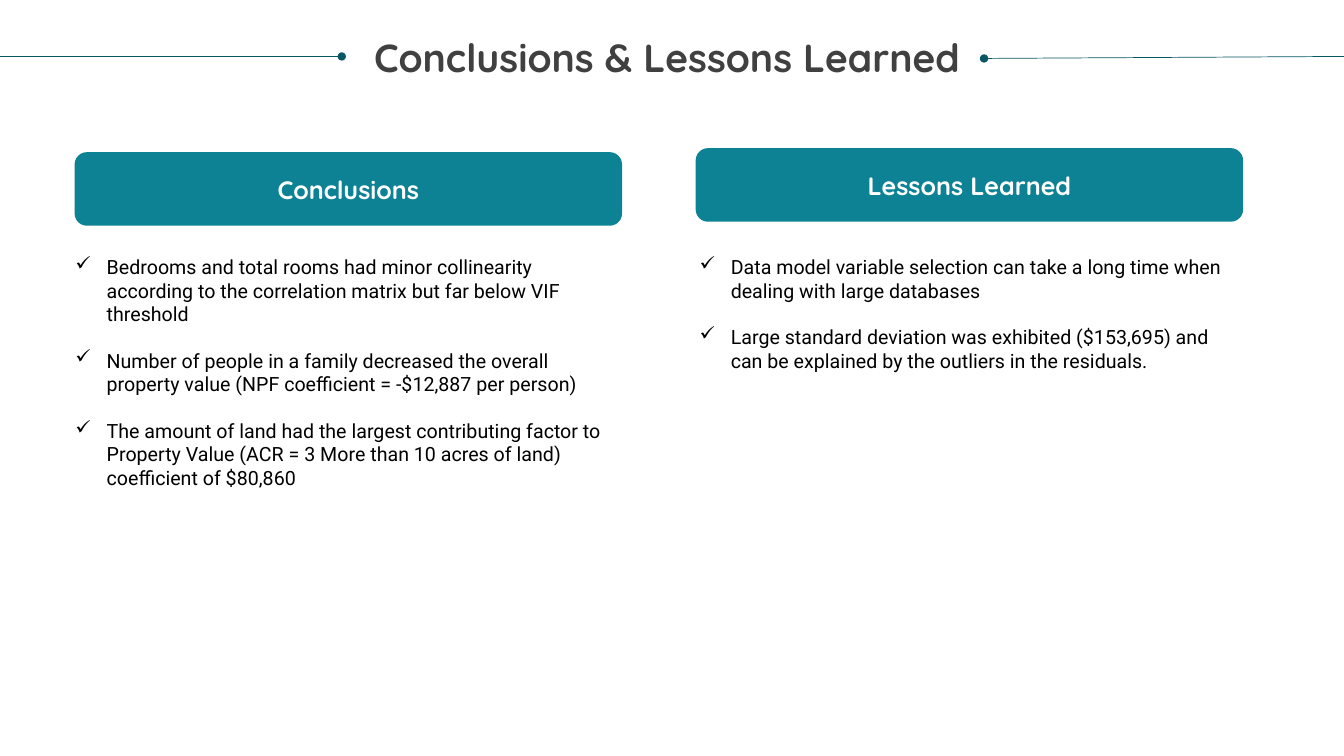
from lxml import etree
from pptx import Presentation
from pptx.dml.color import RGBColor
from pptx.enum import shapes, text
from pptx.oxml import ns
from pptx.util import Inches, Pt

COLORS = {
    "teal": "0D8295",
    "rule": "085764",
    "title": "404040",
    "body": "000000",
    "white": "FFFFFF",
}
HEADING_FONT = "Quicksand"
BODY_FONT = "Roboto"
SLIDE_WIDTH = 13.33

# Heading box and bullet box (left, top, width, height), then the bullets
COLUMNS = [
    ("Conclusions", (0.74, 1.51, 5.43, 0.73), (0.65, 2.48, 5.56, 3.94), [
        "Bedrooms and total rooms had minor collinearity according to the "
        "correlation matrix but far below VIF threshold",
        "Number of people in a family decreased the overall property value "
        "(NPF coefficient = -$12,887 per person)",
        "The amount of land had the largest contributing factor to Property "
        "Value (ACR = 3 More than 10 acres of land) coefficient of $80,860",
    ]),
    ("Lessons Learned", (6.9, 1.47, 5.43, 0.73), (6.84, 2.48, 5.56, 3.47), [
        "Data model variable selection can take a long time when dealing "
        "with large databases",
        "Large standard deviation was exhibited ($153,695) and can be "
        "explained by the outliers in the residuals.",
    ]),
]


def color(name):
    return RGBColor.from_string(COLORS[name])


def inches(box):
    return [Inches(length) for length in box]


def set_font(paragraph, name, size, color_name, bold=False):
    font = paragraph.font
    font.name, font.size, font.bold = name, Pt(size), bold
    font.color.rgb = color(color_name)


def add_rule(slide, start, end, dot):
    """Thin line with a round dot at its "headEnd" or "tailEnd"."""
    rule = slide.shapes.add_connector(
        shapes.MSO_CONNECTOR.STRAIGHT, *inches(start + end))
    rule.line.color.rgb = color("rule")
    rule.line.width = Pt(0.5)
    etree.SubElement(rule.line._get_or_add_ln(), ns.qn(f"a:{dot}"), type="oval")
    etree.SubElement(rule._element.spPr, ns.qn("a:effectLst"))


def add_title(slide, box, title):
    """Centred title between two rules that run to the slide edges."""
    left, top, width, height = box
    rule_y = top + 0.18
    add_rule(slide, (0, rule_y), (left + 3.19, rule_y), "tailEnd")
    add_rule(slide, (left + 9.56, rule_y + 0.02), (SLIDE_WIDTH, rule_y), "headEnd")

    frame = slide.shapes.add_textbox(*inches(box)).text_frame
    frame.word_wrap = True
    frame.margin_left = frame.margin_right = 0
    frame.margin_top = frame.margin_bottom = 0
    paragraph = frame.paragraphs[0]
    paragraph.text = title
    paragraph.alignment = text.PP_ALIGN.CENTER
    paragraph.line_spacing = 0.9
    set_font(paragraph, HEADING_FONT, 28, "title", bold=True)


def add_heading(slide, box, heading):
    banner = slide.shapes.add_shape(
        shapes.MSO_SHAPE.ROUNDED_RECTANGLE, *inches(box))
    banner.shadow.inherit = False
    banner.fill.solid()
    banner.fill.fore_color.rgb = color("teal")
    banner.line.fill.background()
    frame = banner.text_frame
    frame.vertical_anchor = text.MSO_ANCHOR.MIDDLE
    paragraph = frame.paragraphs[0]
    paragraph.text = heading
    paragraph.alignment = text.PP_ALIGN.CENTER
    set_font(paragraph, HEADING_FONT, 18, "white", bold=True)


def add_bullets(slide, box, bullets):
    frame = slide.shapes.add_textbox(*inches(box)).text_frame
    frame.word_wrap = True
    for index, bullet in enumerate(bullets):
        paragraph = frame.add_paragraph() if index else frame.paragraphs[0]
        paragraph.text = bullet
        if index:
            paragraph.space_before = Pt(16.5)
        set_font(paragraph, BODY_FONT, 14, "body")
        # Check mark with a hanging indent
        properties = paragraph._p.get_or_add_pPr()
        indent = Inches(0.31)
        properties.set("marL", str(indent))
        properties.set("indent", str(-indent))
        mark = etree.Element(ns.qn("a:buChar"), char="✓")
        properties.find(ns.qn("a:defRPr")).addprevious(mark)


def main():
    presentation = Presentation()
    presentation.slide_width = Inches(SLIDE_WIDTH)
    presentation.slide_height = Inches(7.5)
    slide = presentation.slides.add_slide(presentation.slide_layouts[6])

    add_title(slide, (0.2, 0.38, 12.83, 0.42), "Conclusions & Lessons Learned")
    for heading, heading_box, bullet_box, bullets in COLUMNS:
        add_heading(slide, heading_box, heading)
        add_bullets(slide, bullet_box, bullets)

    presentation.save("out.pptx")


if __name__ == "__main__":
    main()
